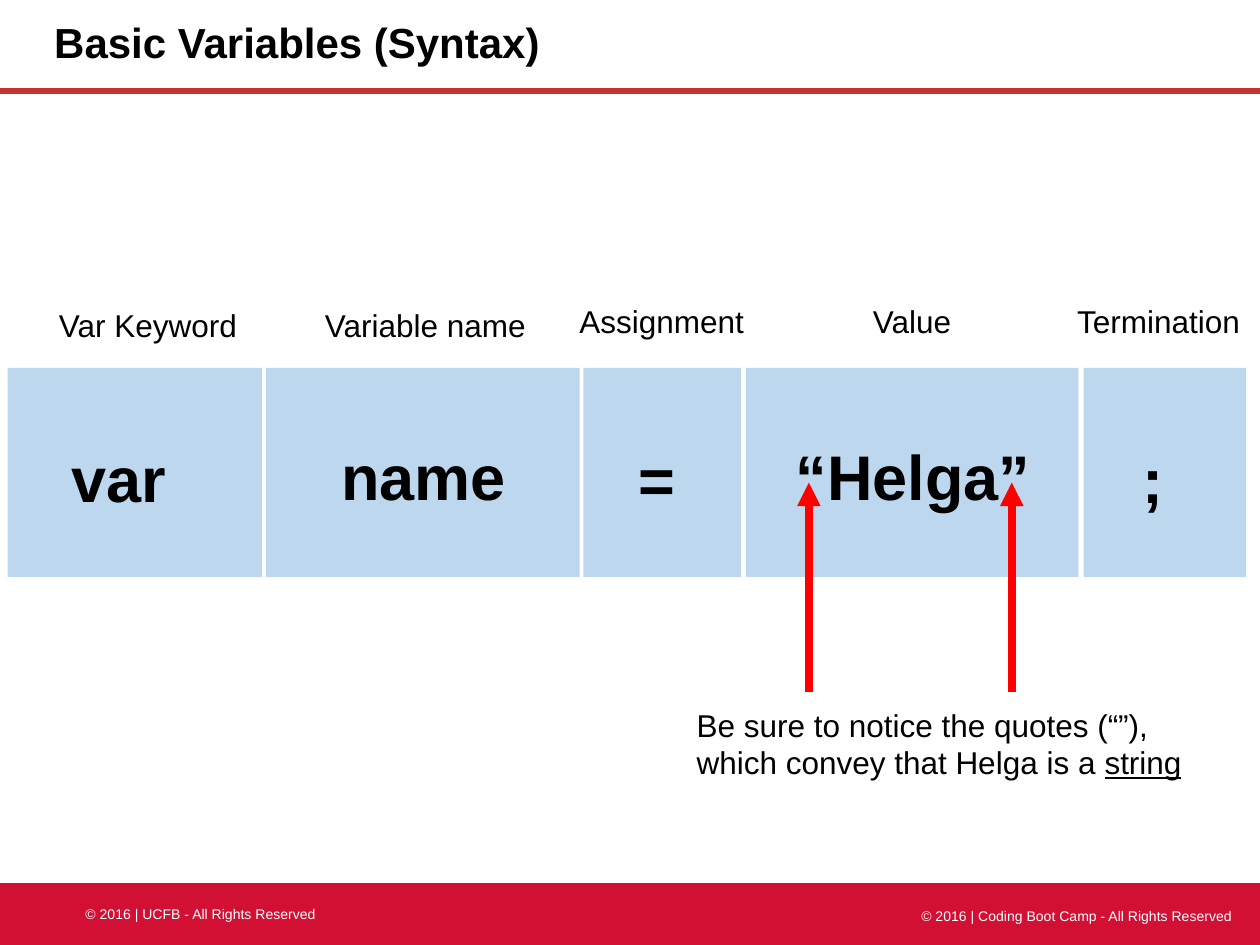
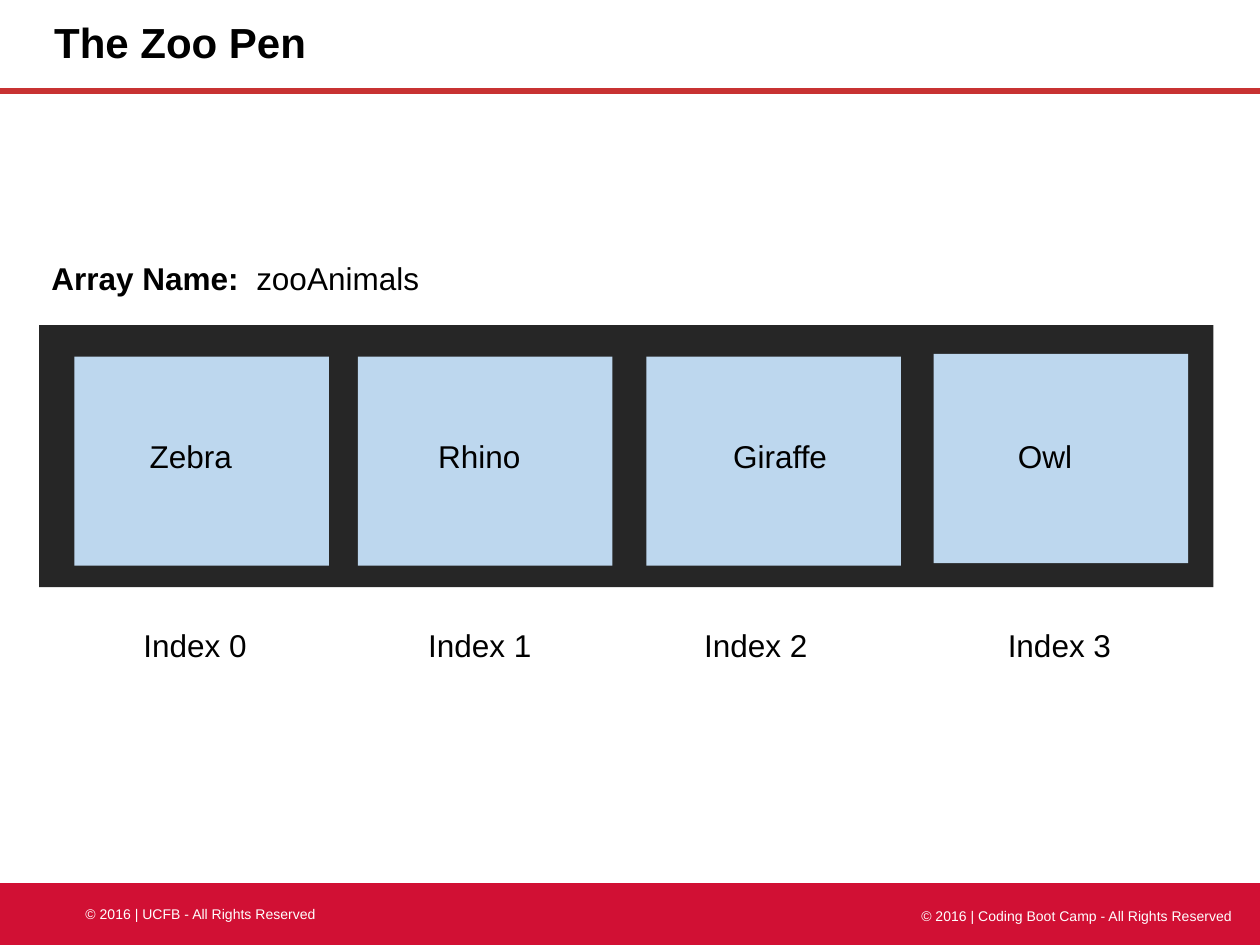
"""Build two coding lesson slides: variable syntax and an array drawn as a zoo pen."""
from lxml import etree
from pptx import Presentation
from pptx.dml.color import RGBColor
from pptx.enum.shapes import MSO_CONNECTOR, MSO_SHAPE
from pptx.enum.text import MSO_ANCHOR, MSO_AUTO_SIZE, PP_ALIGN
from pptx.oxml.ns import qn
from pptx.util import Pt

PX = 9144
SLIDE_WIDTH, SLIDE_HEIGHT = 1000, 750
FONT = "Arial"
COLORS = {
    "text": "000000",
    "footer": "D11034",
    "footer_text": "FFFFFF",
    "rule": "C83232",
    "cell": "BDD7EE",
    "pen": "262626",
    "arrow": "FF0000",
}
RECTANGLE = MSO_SHAPE.RECTANGLE
PROCESS = MSO_SHAPE.FLOWCHART_PROCESS
STRAIGHT = MSO_CONNECTOR.STRAIGHT
LEFT, CENTER, RIGHT = PP_ALIGN.LEFT, PP_ALIGN.CENTER, PP_ALIGN.RIGHT
MIDDLE = MSO_ANCHOR.MIDDLE
GROW, NO_FIT = MSO_AUTO_SIZE.SHAPE_TO_FIT_TEXT, MSO_AUTO_SIZE.NONE
TITLE_ONLY = 5

CELL_HEIGHT = 166
LABEL_HEIGHT, CODE_HEIGHT, FOOTER_HEIGHT = 40, 71, 24


def emu(*lengths):
    """Turn px lengths into EMU."""
    return [length * PX for length in lengths]


def color(name):
    """Look up a named colour."""
    return RGBColor.from_string(COLORS[name])


def format_run(run, size, bold=False, color_name="text"):
    """Apply the shared font to a run."""
    run.font.name = FONT
    run.font.size = Pt(size)
    run.font.bold = bold
    run.font.color.rgb = color(color_name)


def add_text(slide, box, text, size=18, bold=False, align=LEFT, wrap=False, color_name="text"):
    """Add a text box with one paragraph per line and return its frame."""
    text_frame = slide.shapes.add_textbox(*emu(*box)).text_frame
    text_frame.word_wrap = wrap
    text_frame.auto_size = GROW
    text_frame.text = text
    for paragraph in text_frame.paragraphs:
        paragraph.alignment = align
        for run in paragraph.runs:
            format_run(run, size, bold, color_name)
    return text_frame


def append_run(paragraph, text, size=18):
    """Add a plain run to the end of a paragraph and return it."""
    run = paragraph.add_run()
    run.text = text
    format_run(run, size)
    return run


def add_block(slide, box, color_name, kind=RECTANGLE):
    """Add a filled shape without outline."""
    shape = slide.shapes.add_shape(kind, *emu(*box))
    shape.shadow.inherit = False
    shape.fill.solid()
    shape.fill.fore_color.rgb = color(color_name)
    shape.line.fill.background()


def add_line(slide, start, end, color_name, width):
    """Add a straight line and return it."""
    connector = slide.shapes.add_connector(STRAIGHT, *emu(*start, *end))
    connector.line.color.rgb = color(color_name)
    connector.line.width = Pt(width)
    etree.SubElement(connector.element.spPr, qn("a:effectLst"))
    return connector


def add_up_arrow(slide, x, bottom, top):
    """Add a red arrow that points up."""
    connector = add_line(slide, (x, bottom), (x, top), "arrow", 4.5)
    outline = connector.element.spPr.find(qn("a:ln"))
    etree.SubElement(outline, qn("a:tailEnd"), type="triangle")


def add_lesson_slide(presentation, title):
    """Add a slide with the shared title, rule and footer."""
    slide = presentation.slides.add_slide(presentation.slide_layouts[TITLE_ONLY])
    add_block(slide, (-1, 701, 1001, 50), "footer", PROCESS)
    footers = [
        (58, 714, "© 2016 | UCFB - All Rights Reserved", LEFT),
        (683, 715, "© 2016 | Coding Boot Camp - All Rights Reserved", RIGHT),
    ]
    for left, top, text, align in footers:
        add_text(slide, (left, top, 305, FOOTER_HEIGHT), text, 8, False, align, True, "footer_text")
    add_line(slide, (0, 72), (SLIDE_WIDTH, 72), "rule", 3.25)

    shape = slide.shapes.title
    shape.left, shape.top, shape.width, shape.height = emu(33, 0, 598, 72)
    text_frame = shape.text_frame
    text_frame.text = title
    text_frame.auto_size = NO_FIT
    text_frame.vertical_anchor = MIDDLE
    paragraph = text_frame.paragraphs[0]
    paragraph.alignment = LEFT
    paragraph.line_spacing = 0.9
    format_run(paragraph.runs[0], 24, True)
    return slide


def add_variables_slide(presentation):
    """Show the parts of a variable declaration."""
    slide = add_lesson_slide(presentation, "Basic Variables (Syntax)")
    cells = [(6, 202), (211, 249), (463, 125), (592, 264), (860, 129)]
    for left, width in cells:
        add_block(slide, (left, 292, width, CELL_HEIGHT), "cell")

    code_parts = [
        (47, 344, 155, "var", LEFT),
        (261, 342, 209, "name", LEFT),
        (497, 345, 93, "=", LEFT),
        (612, 342, 225, "“Helga”", CENTER),
        (897, 345, 93, ";", LEFT),
    ]
    for left, top, width, text, align in code_parts:
        add_text(slide, (left, top, width, CODE_HEIGHT), text, 36, True, align, True)

    labels = [
        (37, 238, 163, "Var Keyword"),
        (248, 238, 181, "Variable name"),
        (450, 235, 152, "Assignment"),
        (683, 235, 83, "Value"),
        (845, 235, 151, "Termination"),
    ]
    for left, top, width, text in labels:
        add_text(slide, (left, top, width, LABEL_HEIGHT), text)

    note = add_text(
        slide,
        (543, 555, 409, 71),
        "Be sure to notice the quotes (“”),\nwhich convey that Helga is a ",
    )
    append_run(note.paragraphs[1], "string").font.underline = True
    for quote_x in (642, 803):
        add_up_arrow(slide, quote_x, 549, 383)


def add_zoo_slide(presentation):
    """Show an array as a pen of numbered animals."""
    slide = add_lesson_slide(presentation, "The Zoo Pen")
    add_block(slide, (31, 258, 932, 208), "pen")
    array_name = add_text(slide, (31, 201, 315, LABEL_HEIGHT), "Array Name:  ", bold=True)
    append_run(array_name.paragraphs[0], "zooAnimals")

    animals = [
        ("Zebra", (59, 283), (109, 86), (104, 110)),
        ("Rhino", (284, 283), (338, 86), (330, 103)),
        ("Giraffe", (513, 283), (572, 95), (549, 103)),
        ("Owl", (741, 281), (798, 64), (790, 103)),
    ]
    for index, (animal, cell, name, label) in enumerate(animals):
        add_block(slide, (*cell, 202, CELL_HEIGHT), "cell")
        add_text(slide, (name[0], 342, name[1], LABEL_HEIGHT), animal)
        add_text(slide, (label[0], 492, label[1], LABEL_HEIGHT), f"Index {index}")


def main():
    """Build and save the presentation."""
    presentation = Presentation()
    presentation.slide_width, presentation.slide_height = emu(SLIDE_WIDTH, SLIDE_HEIGHT)
    add_variables_slide(presentation)
    add_zoo_slide(presentation)
    presentation.save("out.pptx")


if __name__ == "__main__":
    main()
